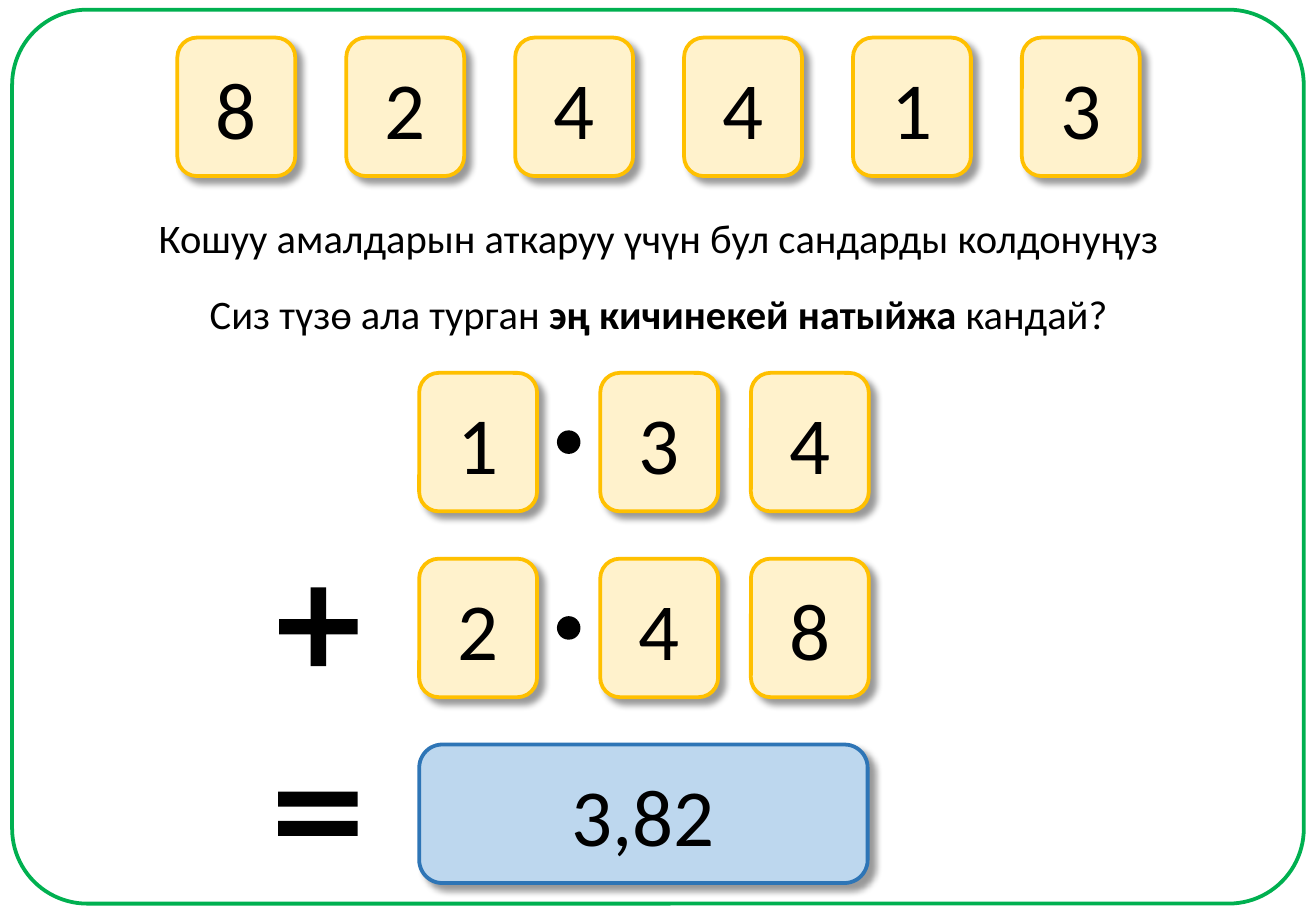
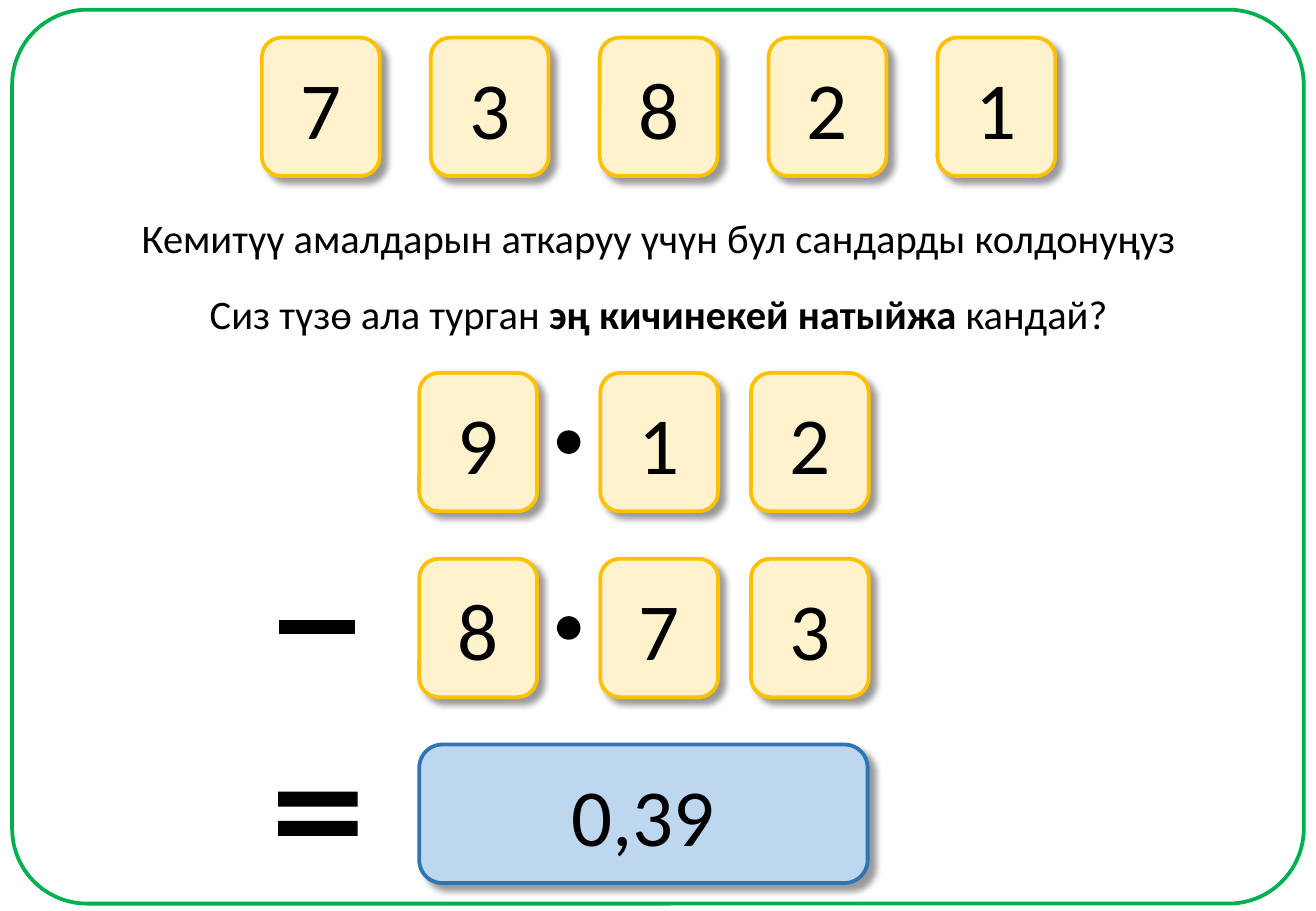
from lxml import etree
from pptx import Presentation
from pptx import util as u
from pptx.dml.color import RGBColor
from pptx.enum import shapes, text
from pptx.oxml.ns import qn

SHAPE = shapes.MSO_SHAPE
TASKS = [
    dict(digits="824413", numbers=["134", "248"], result="3,82",
         sign=(SHAPE.MATH_PLUS, (218, 472, 88, 88), [0.144]),
         intro="Кошуу амалдарын аткаруу үчүн бул сандарды колдонуңуз"),
    dict(digits="73821", numbers=["912", "873"], result="0,39",
         sign=(SHAPE.MATH_MINUS, (218, 473, 86, 86), [0.132]),
         intro="Кемитүү амалдарын аткаруу үчүн бул сандарды колдонуңуз"),
]
QUESTION = [("Сиз түзө ала турган ", False), ("эң кичинекей натыйжа ", True),
            ("кандай?", False)]

BLACK = RGBColor(0x00, 0x00, 0x00)
GREEN = RGBColor(0x00, 0xB0, 0x50)
CREAM = RGBColor(0xFF, 0xF2, 0xCC)
GOLD = RGBColor(0xFF, 0xC0, 0x00)
PALE_BLUE = RGBColor(0xBD, 0xD7, 0xEE)
BLUE = RGBColor(0x2E, 0x75, 0xB6)
FONT = "Calibri"

PX = 9144  # 100 px to the inch
WIDTH, HEIGHT, CENTRE = 1083, 750, 542
CARD_W, CARD_H = 97, 114
TOP_Y, TOP_PITCH = 31, 139
COLUMNS = [345, 494, 618]
ROW_Y, ROW_PITCH = 307, 153
DOT_X, DOT_DROP, DOT_SIZE = 459, 48, 18
RESULT_W = 369


def px(*lengths):
    return [u.Emu(round(length * PX)) for length in lengths]


def write(box, runs, size=48, anchor=text.MSO_ANCHOR.MIDDLE, wrap=True):
    """Fill a box with centred (wording, bold) runs."""
    frame = box.text_frame
    frame.auto_size = text.MSO_AUTO_SIZE.NONE
    frame.word_wrap, frame.vertical_anchor = wrap, anchor
    para = frame.paragraphs[0]
    para.alignment = text.PP_ALIGN.CENTER
    for wording, bold in runs:
        span = para.add_run()
        span.text = wording
        font = span.font
        font.name, font.size, font.bold = FONT, u.Pt(size), bold
        font.color.rgb = BLACK


def add_box(slide, kind, place, fill=None, line=None, weight=2.25, adjust=()):
    box = slide.shapes.add_shape(kind, *px(*place))
    box.shadow.inherit = False
    for index, value in enumerate(adjust):
        box.adjustments[index] = value
    if fill is None:
        box.fill.background()
    else:
        box.fill.solid()
        box.fill.fore_color.rgb = fill
    if line is None:
        box.line.fill.background()
    else:
        box.line.color.rgb = line
        box.line.width = u.Pt(weight)
    return box


def add_card(slide, x, y, label, width=CARD_W, fill=CREAM, line=GOLD):
    """Rounded card with a drop shadow and a large label."""
    card = add_box(slide, SHAPE.ROUNDED_RECTANGLE, (x, y, width, CARD_H), fill, line)
    effects = card.element.spPr.find(qn("a:effectLst"))
    shadow = etree.SubElement(effects, qn("a:outerShdw"), blurRad=str(u.Pt(4)),
                              dist=str(u.Pt(5)), dir="2700000", algn="tl",
                              rotWithShape="0")
    colour = etree.SubElement(shadow, qn("a:srgbClr"), val=str(BLACK))
    etree.SubElement(colour, qn("a:alpha"), val="40000")
    write(card, [(label, False)])


def add_task(deck, task):
    slide = deck.slides.add_slide(deck.slide_layouts.get_by_name("Title Only"))
    add_box(slide, SHAPE.ROUNDED_RECTANGLE, (10, 8, 1063, 736), line=GREEN,
            adjust=[0.084])

    title = slide.shapes.title
    title.left, title.top, title.width, title.height = px(102, 170, 880, 50)
    question = slide.shapes.add_textbox(*px(159, 233, 766, 50))
    for box, runs in ((title, [(task["intro"], False)]), (question, QUESTION)):
        write(box, runs, size=24, anchor=text.MSO_ANCHOR.TOP, wrap=False)

    digits = task["digits"]
    row_left = CENTRE - ((len(digits) - 1) * TOP_PITCH + CARD_W) / 2
    for index, digit in enumerate(digits):
        add_card(slide, row_left + index * TOP_PITCH, TOP_Y, digit)

    for row, number in enumerate(task["numbers"]):
        y = ROW_Y + row * ROW_PITCH
        for x, digit in zip(COLUMNS, number):
            add_card(slide, x, y, digit)
        add_box(slide, SHAPE.OVAL, (DOT_X, y + DOT_DROP, DOT_SIZE, DOT_SIZE),
                BLACK, BLACK, weight=1)

    result_y = ROW_Y + len(task["numbers"]) * ROW_PITCH
    add_card(slide, COLUMNS[0], result_y, task["result"], RESULT_W, PALE_BLUE, BLUE)
    equals = (SHAPE.MATH_EQUAL, (217, 620, 89, 100), [0.123, 0.118])
    for kind, place, adjust in (task["sign"], equals):
        add_box(slide, kind, place, BLACK, adjust=adjust)


def main():
    deck = Presentation()
    deck.slide_width, deck.slide_height = px(WIDTH, HEIGHT)
    for task in TASKS:
        add_task(deck, task)
    deck.save("out.pptx")


if __name__ == "__main__":
    main()
